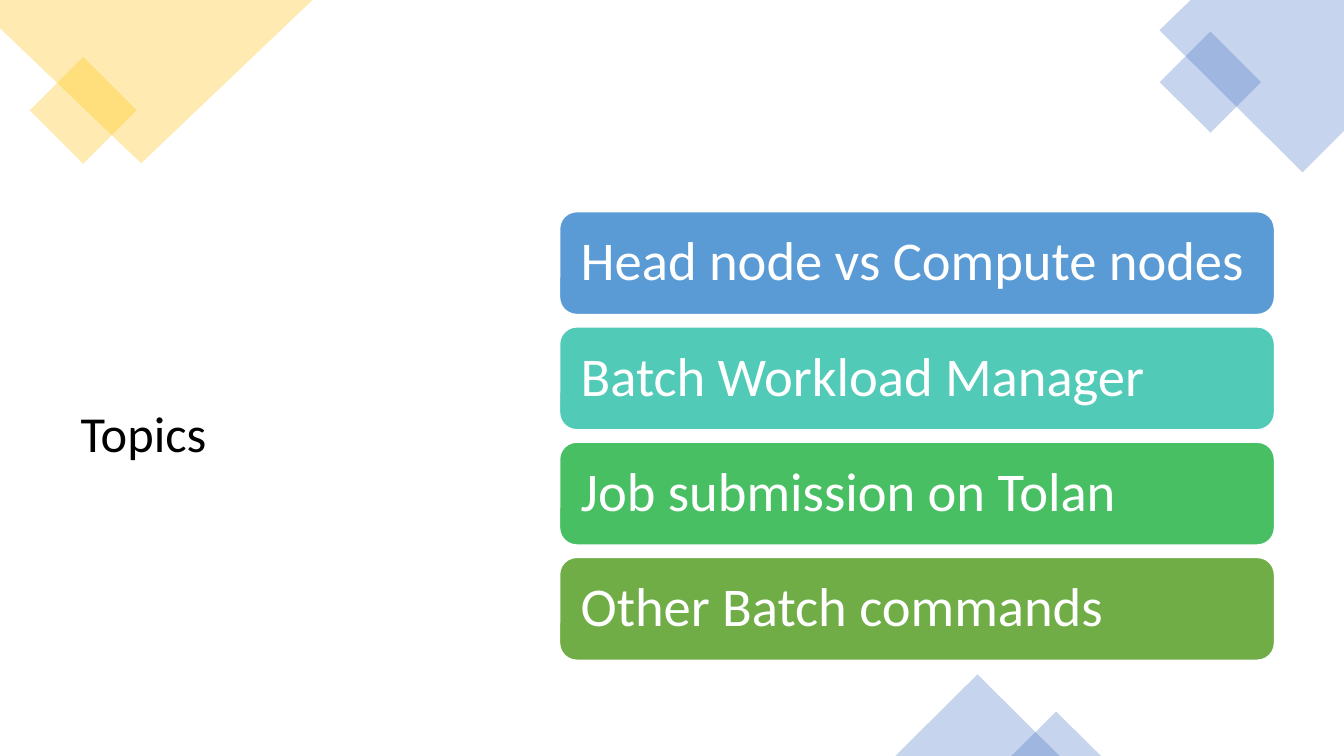
"""Build the Topics slide with four coloured bars and corner diamonds."""
from lxml.etree import SubElement
from pptx import Presentation
from pptx.dml.color import RGBColor
from pptx.enum.shapes import MSO_SHAPE
from pptx.enum.text import MSO_ANCHOR, PP_ALIGN
from pptx.oxml.ns import qn
from pptx.util import Inches, Pt

COLORS = {"gold": "FFC000", "navy": "4472C4", "blue": "5B9BD5", "teal": "52CAB8",
          "green": "49BF64", "olive": "70AD47", "white": "FFFFFF", "black": "000000"}
TITLE = "Topics"
TOPICS = [("Head node vs Compute nodes", "blue"), ("Batch Workload Manager", "teal"),
          ("Job submission on Tolan", "green"), ("Other Batch commands", "olive")]
CORNERS = [("gold", [(0, 0), (3.1, 0), (1.4, 1.62), (0, 0.28)]),
           ("navy", [(11.81, 0), (13.33, 0), (13.33, 1.3), (12.92, 1.71), (11.5, 0.3)])]
DECOR = [(MSO_SHAPE.RECTANGLE, "gold", (0.45, 0.72, 0.75, 0.75), 45),
         (MSO_SHAPE.RECTANGLE, "navy", (11.65, 0.46, 0.71, 0.71), 45),
         (MSO_SHAPE.ISOSCELES_TRIANGLE, "navy", (8.88, 6.69, 1.63, 0.81), 0),
         (MSO_SHAPE.ISOSCELES_TRIANGLE, "navy", (10.03, 7.06, 0.89, 0.44), 0)]
LEFT, TOP, WIDE, HIGH, LAST = 5.55, 2.1, 7.09, 1.02, 5.53


def color(name):
    return RGBColor.from_string(COLORS[name])


def paint(shape, name):
    shape.shadow.inherit = False
    shape.fill.solid()
    shape.fill.fore_color.rgb = color(name)


def tint(shape, name):
    paint(shape, name)
    shape.line.fill.background()
    fill = shape._element.spPr.find(qn("a:solidFill"))
    SubElement(fill[0], qn("a:alpha")).set("val", "30000")


def write(shape, text, size, name):
    frame = shape.text_frame
    frame.word_wrap = True
    frame.vertical_anchor = MSO_ANCHOR.MIDDLE
    frame.text = text
    par = frame.paragraphs[0]
    par.alignment = PP_ALIGN.LEFT
    par.line_spacing = 0.9
    par.font.name = "Calibri"
    par.font.size = Pt(size)
    par.font.color.rgb = color(name)
    return frame


def main():
    deck = Presentation()
    deck.slide_width, deck.slide_height = Inches(13.33), Inches(7.5)
    slide = deck.slides.add_slide(deck.slide_layouts[5])
    shapes = slide.shapes

    title = shapes.title
    title.left, title.top = Inches(0.7), Inches(1.86)
    title.width, title.height = Inches(4.33), Inches(4.94)
    write(title, TITLE, 36, "black")

    for name, points in CORNERS:
        first, *rest = [(Inches(x), Inches(y)) for x, y in points]
        pen = shapes.build_freeform(*first)
        pen.add_line_segments(rest, close=True)
        tint(pen.convert_to_shape(), name)

    for kind, name, box, turn in DECOR:
        shape = shapes.add_shape(kind, *map(Inches, box))
        shape.rotation = turn
        tint(shape, name)

    step = (LAST - TOP) / (len(TOPICS) - 1)
    for row, (text, name) in enumerate(TOPICS):
        box = (LEFT, TOP + row * step, WIDE, HIGH)
        bar = shapes.add_shape(MSO_SHAPE.ROUNDED_RECTANGLE, *map(Inches, box))
        paint(bar, name)
        bar.line.color.rgb = color("white")
        bar.line.width = Pt(1)
        frame = write(bar, text, 39, "white")
        frame.margin_left = Inches(0.16)
        frame.margin_right = Inches(0.1)

    deck.save("out.pptx")


if __name__ == "__main__":
    main()
